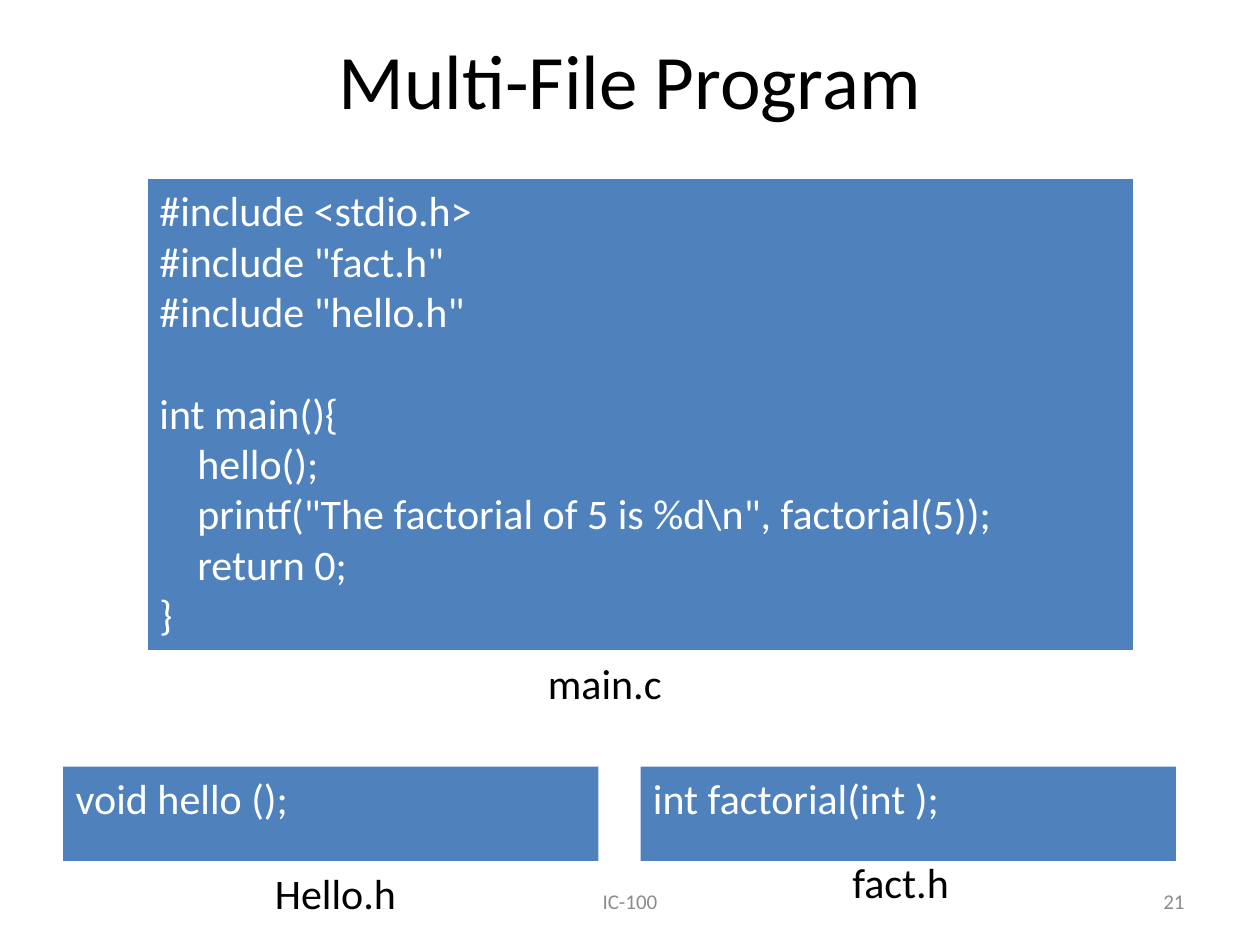
"""Build the Multi-File Program slide: three source files with their captions."""
import pptx
import pptx.util
import pptx.dml.color
import pptx.enum.shapes
import pptx.enum.text

Inches, Pt = pptx.util.Inches, pptx.util.Pt
RGBColor = pptx.dml.color.RGBColor
ALIGN = pptx.enum.text.PP_ALIGN
ANCHOR = pptx.enum.text.MSO_ANCHOR

BLACK = RGBColor(0x00, 0x00, 0x00)
WHITE = RGBColor(0xFF, 0xFF, 0xFF)
GRAY = RGBColor(0x8C, 0x8C, 0x8C)
BLUE = RGBColor(0x4F, 0x81, 0xBD)

WIDTH, HEIGHT = Inches(10), Inches(7.5)
COLUMNS, ROWS = 120, 90
INDENT = Pt(21.7)
BLANK_LINE = Pt(29.3)

# Places are left, top, width, height in grid columns and rows.
TITLE = ("Multi-File Program", (6, 0, 108, 15))
MAIN_PLACE = (14, 17, 94, 45)
MAIN_CODE = [  # text, indent level, blank lines before
    ("#include <stdio.h>", 0, 0),
    ('#include "fact.h"', 0, 0),
    ('#include "hello.h"', 0, 0),
    ("int main(){", 0, 1),
    ("hello();", 1, 0),
    ('printf("The factorial of 5 is %d\\n", factorial(5));', 1, 0),
    ("return 0;", 1, 0),
    ("}", 0, 0),
]
HELLO_CODE = ([("void hello ();", 0, 0)], (6, 73, 51, 9))
FACT_CODE = ([("int factorial(int );", 0, 0)], (61, 73, 51, 9))
CAPTIONS = [
    ("Hello.h", (25, 82, 21, 6)),
    ("fact.h", (80, 81, 21, 6)),
    ("main.c", (51, 62, 21, 6)),
]
FOOTERS = [
    ("21", (86, 83.4, 28, 4.8), ALIGN.RIGHT),
    ("IC-100", (41, 83.4, 38, 4.8), ALIGN.CENTER),
]


def grid(place):
    left, top, width, height = place
    return (round(left * WIDTH / COLUMNS), round(top * HEIGHT / ROWS),
            round(width * WIDTH / COLUMNS), round(height * HEIGHT / ROWS))


def move(shape, place):
    shape.left, shape.top, shape.width, shape.height = grid(place)


def write(shape, lines, size=24, color=BLACK, align=ALIGN.LEFT, anchor=ANCHOR.TOP):
    frame = shape.text_frame
    frame.word_wrap = True
    frame.auto_size = pptx.enum.text.MSO_AUTO_SIZE.NONE
    frame.vertical_anchor = anchor
    for number, (text, level, blanks) in enumerate(lines):
        paragraph = frame.add_paragraph() if number else frame.paragraphs[0]
        paragraph.alignment = align
        paragraph.space_before = blanks * BLANK_LINE
        properties = paragraph._p.get_or_add_pPr()
        properties.set("marL", str(level * INDENT))
        properties.set("indent", "0")
        properties.append(pptx.oxml.parse_xml(
            '<a:buNone xmlns:a="http://schemas.openxmlformats.org/drawingml/2006/main"/>'))
        run = paragraph.add_run()
        run.text = text
        run.font.name = "Calibri"
        run.font.size = Pt(size)
        run.font.color.rgb = color


def paint(shape):
    shape.fill.solid()
    shape.fill.fore_color.rgb = BLUE


def add_code(slide, lines, place):
    shape = slide.shapes.add_shape(
        pptx.enum.shapes.MSO_SHAPE.RECTANGLE, *grid(place))
    shape.shadow.inherit = False
    paint(shape)
    shape.line.fill.background()
    write(shape, lines, color=WHITE)
    return shape


def add_label(slide, text, place, **text_format):
    write(slide.shapes.add_textbox(*grid(place)), [(text, 0, 0)], **text_format)


def main():
    presentation = pptx.Presentation()
    presentation.slide_width, presentation.slide_height = WIDTH, HEIGHT
    slide = presentation.slides.add_slide(presentation.slide_layouts[1])

    title, title_place = TITLE
    move(slide.shapes.title, title_place)
    write(slide.shapes.title, [(title, 0, 0)], size=44,
          align=ALIGN.CENTER, anchor=ANCHOR.MIDDLE)

    main_box = add_code(slide, MAIN_CODE, MAIN_PLACE)
    main_box.line.color.rgb = WHITE
    main_box.line.width = Pt(0.75)

    hello_lines, hello_place = HELLO_CODE
    body = slide.placeholders[1]
    move(body, hello_place)
    paint(body)
    write(body, hello_lines, color=WHITE)
    add_code(slide, *FACT_CODE)

    for text, place in CAPTIONS:
        add_label(slide, text, place)
    for text, place, align in FOOTERS:
        add_label(slide, text, place, size=12, color=GRAY,
                  align=align, anchor=ANCHOR.MIDDLE)

    presentation.save("out.pptx")


if __name__ == "__main__":
    main()
